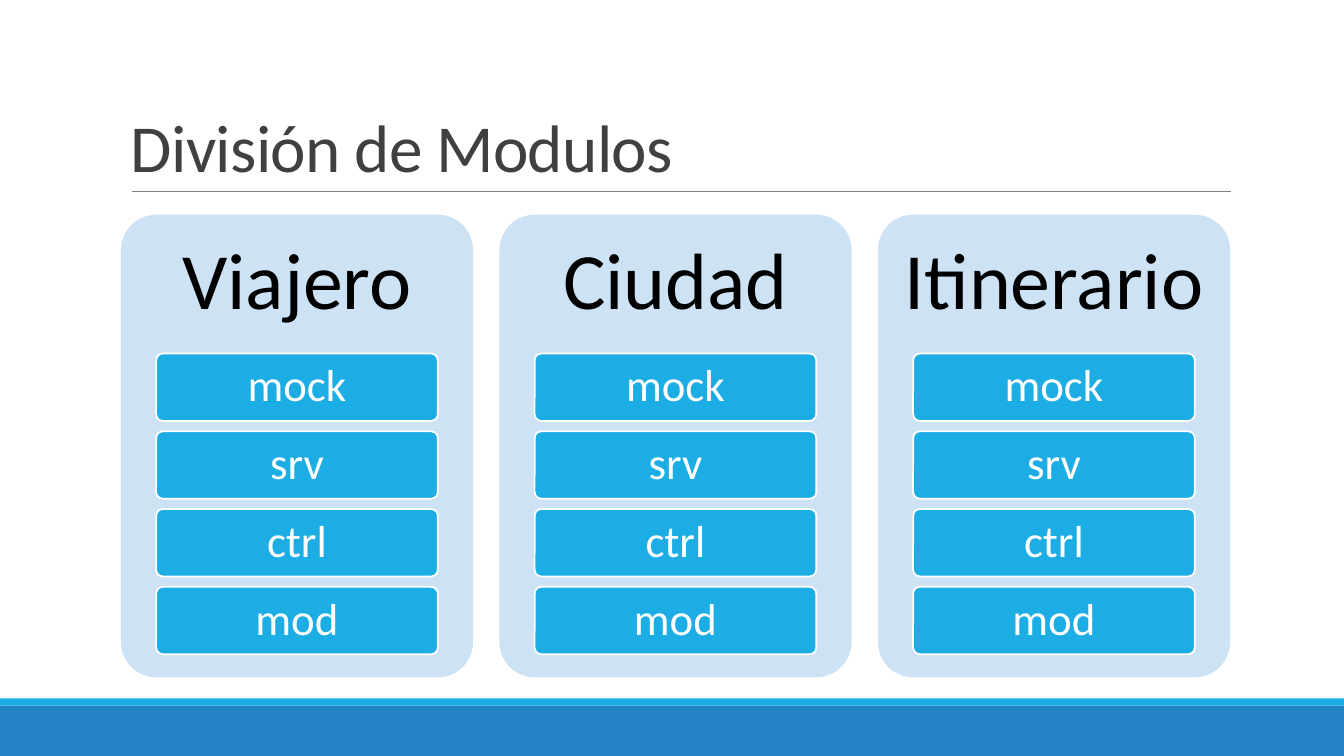
import pptx
import pptx.util
import pptx.dml.color
import pptx.enum.shapes
import pptx.enum.text
import pptx.oxml

Inches = pptx.util.Inches
Color = pptx.dml.color.RGBColor
Shape = pptx.enum.shapes.MSO_SHAPE
Anchor = pptx.enum.text.MSO_ANCHOR
Align = pptx.enum.text.PP_ALIGN

TITLE = "División de Modulos"
LAYERS = ["mock", "srv", "ctrl", "mod"]
MODULES = {"Viajero": LAYERS, "Ciudad": LAYERS, "Itinerario": LAYERS}

WHITE = Color(0xFF, 0xFF, 0xFF)
BLACK = Color(0, 0, 0)
CHARCOAL = Color(0x40, 0x40, 0x40)
GRAY = Color(0x80, 0x80, 0x80)
PALE = Color(0xCD, 0xE3, 0xF5)
CYAN = Color(0x1C, 0xAD, 0xE4)
BLUE = Color(0x26, 0x83, 0xC6)

WIDTH, HEIGHT = 13.33, 7.5
LEFT, TOP = 1.2, 2.13
CONTENT_WIDTH, PANEL_HEIGHT = 11, 4.59
GAP_SHARE = 0.075
HEADER_SHARE, LIST_SHARE = 0.3, 0.65
ROW_GAP_SHARE = 2 / 13
BUTTON_SHARE = 0.8


def add_block(page, kind, box, fill, outline=None):
    block = page.shapes.add_shape(kind, *map(Inches, box))
    block.shadow.inherit = False
    block.fill.solid()
    block.fill.fore_color.rgb = fill
    if kind == Shape.ROUNDED_RECTANGLE:
        block.adjustments[0] = 0.1
    if outline is None:
        block.line.fill.background()
    else:
        block.line.color.rgb = outline
        block.line.width = pptx.util.Pt(1.25)
    return block


def write(shape, text, size, color, insets, align=Align.CENTER, anchor=Anchor.MIDDLE, spacing=0.9):
    frame = shape.text_frame
    frame.word_wrap = True
    frame.vertical_anchor = anchor
    frame.margin_left = frame.margin_right = Inches(insets[0])
    frame.margin_top = frame.margin_bottom = Inches(insets[1])
    para = frame.paragraphs[0]
    para.text = text
    para.alignment = align
    para.line_spacing = spacing
    para.font.name = "Calibri"
    para.font.size = pptx.util.Pt(size)
    para.font.color.rgb = color
    return para


def add_text(page, box, *args, **options):
    return write(page.shapes.add_textbox(*map(Inches, box)), *args, **options)


def add_module(page, left, width, name, layers):
    add_block(page, Shape.ROUNDED_RECTANGLE, (left, TOP, width, PANEL_HEIGHT), PALE)
    header = PANEL_HEIGHT * HEADER_SHARE
    add_text(page, (left, TOP, width, header), name, 57, BLACK, (0.24, 0.24))
    count = len(layers)
    height = PANEL_HEIGHT * LIST_SHARE / (count + (count - 1) * ROW_GAP_SHARE)
    button_left = left + width * (1 - BUTTON_SHARE) / 2
    for row, layer in enumerate(layers):
        top = TOP + header + row * height * (1 + ROW_GAP_SHARE)
        box = (button_left, top, width * BUTTON_SHARE, height)
        button = add_block(page, Shape.ROUNDED_RECTANGLE, box, CYAN, WHITE)
        write(button, layer, 32, WHITE, (0.09, 0.07))


def main():
    deck = pptx.Presentation()
    deck.slide_width, deck.slide_height = Inches(WIDTH), Inches(HEIGHT)
    page = deck.slides.add_slide(deck.slide_layouts[6])

    add_block(page, Shape.RECTANGLE, (0, 7, WIDTH, 0.5), BLUE)
    add_block(page, Shape.RECTANGLE, (0, 6.93, WIDTH, 0.07), CYAN)
    rule = page.shapes.add_connector(
        pptx.enum.shapes.MSO_CONNECTOR.STRAIGHT, *map(Inches, (1.31, 1.9, 12.21, 1.9))
    )
    rule.line.color.rgb = GRAY
    rule.line.width = pptx.util.Pt(0.5)
    rule._element.spPr.append(pptx.oxml.parse_xml(
        '<a:effectLst xmlns:a="http://schemas.openxmlformats.org/drawingml/2006/main"/>'
    ))

    title = add_text(page, (LEFT, 0.31, CONTENT_WIDTH, 1.59), TITLE, 48, CHARCOAL, (0.1, 0.05),
                     align=Align.LEFT, anchor=Anchor.BOTTOM, spacing=0.85)
    title.runs[0].font._element.set("spc", "-50")

    count = len(MODULES)
    width = CONTENT_WIDTH / (count + (count - 1) * GAP_SHARE)
    for column, (name, layers) in enumerate(MODULES.items()):
        add_module(page, LEFT + column * width * (1 + GAP_SHARE), width, name, layers)

    deck.save("out.pptx")


if __name__ == "__main__":
    main()
